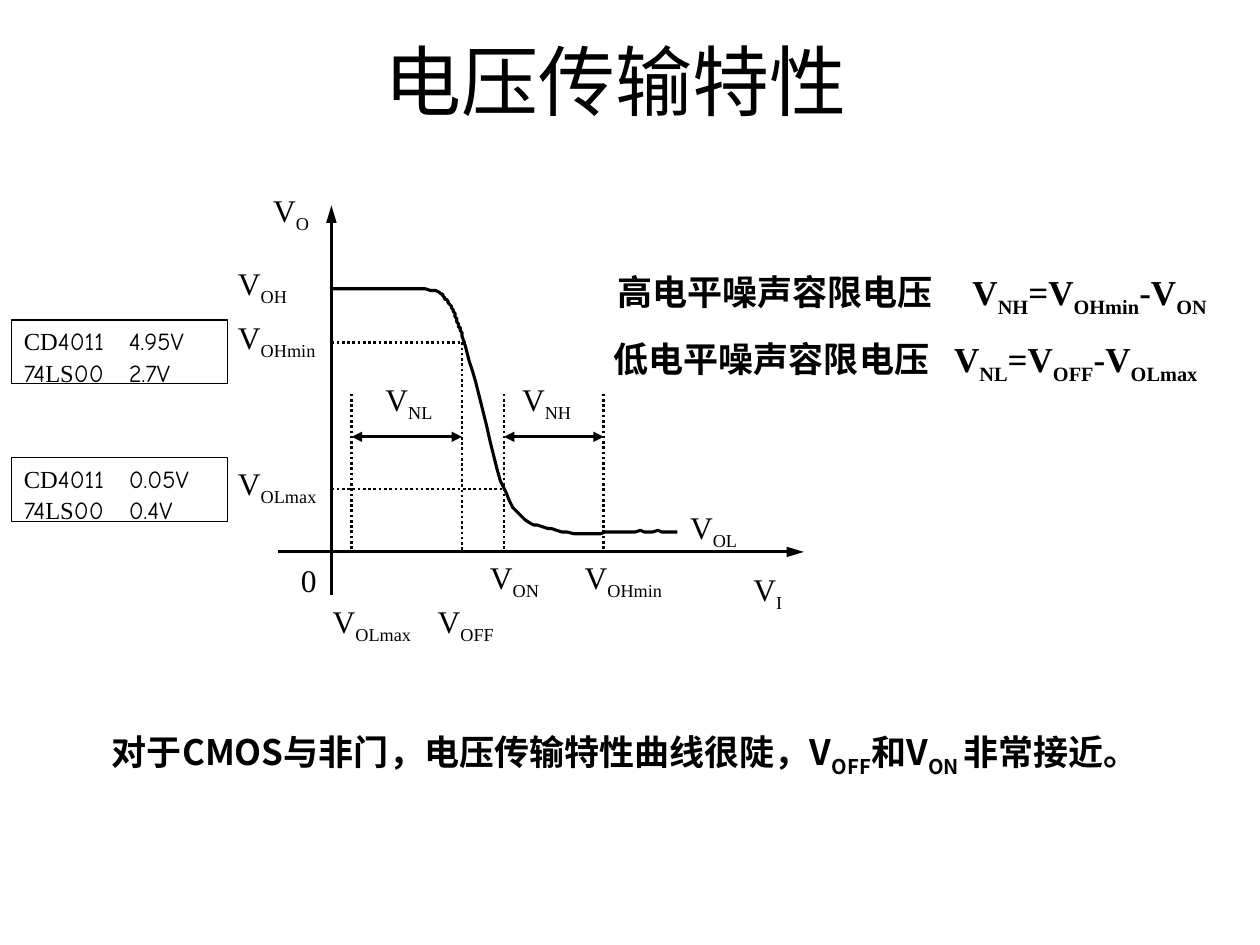
from dataclasses import dataclass

from lxml.etree import SubElement
from pptx import Presentation
from pptx.dml.color import RGBColor
from pptx.enum.dml import MSO_LINE
from pptx.enum.shapes import MSO_CONNECTOR, MSO_SHAPE
from pptx.enum.text import MSO_ANCHOR, PP_ALIGN
from pptx.oxml.ns import qn
from pptx.util import Pt


@dataclass(frozen=True)
class Theme:
    ink: RGBColor = RGBColor(0, 0, 0)
    serif: str = "Times New Roman"
    rounded: str = "Comic Neue"
    chinese: str = "Noto Sans CJK SC"
    title: float = 44
    body: float = 20
    label: float = 18
    small: float = 14
    axis: float = 1.75
    guide: float = 1.5
    frame: float = 0.75


THEME = Theme()


@dataclass(frozen=True)
class Span:
    text: str
    font: str = THEME.serif
    sub: bool = False


@dataclass(frozen=True)
class Label:
    left: float
    top: float
    sub: str
    width: float = 48


@dataclass(frozen=True)
class Stroke:
    start: tuple[float, float]
    end: tuple[float, float]
    weight: float = THEME.guide
    dotted: bool = False
    heads: tuple[str, ...] = ()
    head_length: str = "med"


@dataclass(frozen=True)
class LevelBox:
    """Output levels of the two chip families."""
    top: float
    cmos: str
    ttl: str


ORIGIN_X, ORIGIN_Y = 189.4, 315.4
X_OL, X_OFF, X_ON, X_OH = 201, 264, 288, 345
Y_OH_MIN, Y_OL_MAX, Y_MARGIN, Y_GUIDE_TOP = 195.6, 279.4, 249.6, 225

STROKES = [
    Stroke((ORIGIN_X, 339.8), (ORIGIN_X, 117.4), THEME.axis, heads=("tailEnd",), head_length="lg"),
    Stroke((158.8, ORIGIN_Y), (459.4, ORIGIN_Y), THEME.axis, heads=("tailEnd",), head_length="lg"),
    Stroke((ORIGIN_X, Y_OH_MIN), (267, Y_OH_MIN), dotted=True),
    Stroke((ORIGIN_X, Y_OL_MAX), (X_ON, Y_OL_MAX), dotted=True),
    *(Stroke((x, top), (x, ORIGIN_Y), dotted=True)
      for x, top in ((X_OL, Y_GUIDE_TOP), (X_OFF, Y_OH_MIN),
                     (X_ON, Y_GUIDE_TOP), (X_OH, Y_GUIDE_TOP))),
    *(Stroke((x, Y_MARGIN), (end, Y_MARGIN), heads=("headEnd", "tailEnd"))
      for x, end in ((X_OL, X_OFF), (X_ON, X_OH))),
]

CURVE_START = (189.4, 165.4)
CURVE = [  # two control points and an end point for each Bezier segment
    ((211, 164.9), (231.8, 164.2), (243.4, 165.4)),
    ((254.2, 166.3), (252, 168.5), (254.9, 171.4)),
    ((258.5, 174.2), (259.2, 178.6), (261.4, 183.6)),
    ((262.8, 188.6), (262.1, 184.3), (267.1, 201.6)),
    ((272.2, 218.2), (282.2, 268.6), (290.9, 285.8)),
    ((300.2, 302.4), (308.9, 300.2), (321.1, 303.5)),
    ((333.4, 306.5), (352.1, 303.6), (362.9, 303.5)),
    ((374.4, 303.5), (383, 303.5), (387.4, 303.5)),
]

LABELS = [
    Label(149, 105.8, "O"), Label(128.9, 147.6, "OH"),
    Label(128.9, 178, "OHmin", 66), Label(128.9, 261.6, "OLmax", 66),
    Label(213.1, 213.8, "NL"), Label(291.2, 213.8, "NH"),
    Label(387.2, 286.8, "OL"), Label(423.4, 322, "I"),
    Label(272.9, 315.4, "ON"), Label(327, 315.4, "OHmin", 72),
    Label(183, 340.6, "OLmax", 66), Label(243, 340.6, "OFF", 60),
]

LEVELS = [LevelBox(182.9, "4.95V", "2.7V"), LevelBox(261.4, "0.05V", "0.4V")]


def with_subs(*texts: str, font: str = THEME.serif) -> list[Span]:
    """Alternate normal and subscript spans."""
    return [Span(text, font, sub=bool(i % 2)) for i, text in enumerate(texts)]


def write(para, spans: list[Span], size: float, bold: bool = False, tab: float = 0) -> None:
    if tab:
        tabs = SubElement(para._p.get_or_add_pPr(), qn("a:tabLst"))
        SubElement(tabs, qn("a:tab"), pos=str(int(Pt(tab))), algn="l")
    for span in spans:
        run = para.add_run()
        run.text = span.text
        font = run.font
        font.name, font.size, font.bold = span.font, Pt(size), bold
        font.color.rgb = THEME.ink
        props = run._r.get_or_add_rPr()
        SubElement(props, qn("a:ea"), typeface=THEME.chinese)
        if span.sub:
            props.set("baseline", "-25000")


def add_text(page, left: float, top: float, width: float, height: float,
             spans: list[Span], size: float, bold: bool = False, tab: float = 0):
    box = page.shapes.add_textbox(Pt(left), Pt(top), Pt(width), Pt(height))
    box.text_frame.word_wrap = True
    write(box.text_frame.paragraphs[0], spans, size, bold, tab)
    return box


def add_stroke(page, stroke: Stroke) -> None:
    ends = [Pt(value) for value in (*stroke.start, *stroke.end)]
    connector = page.shapes.add_connector(MSO_CONNECTOR.STRAIGHT, *ends)
    connector.line.color.rgb = THEME.ink
    connector.line.width = Pt(stroke.weight)
    if stroke.dotted:
        connector.line.dash_style = MSO_LINE.ROUND_DOT
    for head in stroke.heads:
        SubElement(connector.line._get_or_add_ln(), qn(f"a:{head}"),
                   type="triangle", w="med", len=stroke.head_length)
    SubElement(connector._element.spPr, qn("a:effectLst"))


def bezier(points: list[tuple[float, float]], t: float) -> tuple[float, float]:
    weights = ((1 - t) ** 3, 3 * t * (1 - t) ** 2, 3 * t * t * (1 - t), t ** 3)
    x, y = (sum(w * point[axis] for w, point in zip(weights, points)) for axis in (0, 1))
    return x, y


def add_curve(page, steps: int = 12) -> None:
    vertices, start = [], CURVE_START
    for segment in CURVE:
        vertices += [bezier([start, *segment], i / steps) for i in range(1, steps + 1)]
        start = segment[-1]
    builder = page.shapes.build_freeform(*CURVE_START, scale=float(Pt(1)))
    builder.add_line_segments(vertices, close=False)
    curve = builder.convert_to_shape()
    curve.shadow.inherit = False
    curve.fill.background()
    curve.line.color.rgb = THEME.ink
    curve.line.width = Pt(THEME.axis)


def add_levels(page, level: LevelBox) -> None:
    box = page.shapes.add_shape(MSO_SHAPE.RECTANGLE, Pt(6.5), Pt(level.top), Pt(123.5), Pt(36.5))
    box.shadow.inherit = False
    box.fill.background()
    box.line.color.rgb = THEME.ink
    box.line.width = Pt(THEME.frame)
    frame = box.text_frame
    frame.vertical_anchor = MSO_ANCHOR.TOP
    rows = [
        [Span("CD"), Span(f"4011\t{level.cmos}", THEME.rounded)],
        [Span("74", THEME.rounded), Span("LS"), Span(f"00\t{level.ttl}", THEME.rounded)],
    ]
    for i, spans in enumerate(rows):
        para = frame.add_paragraph() if i else frame.paragraphs[0]
        para.alignment = PP_ALIGN.LEFT
        if i:
            para.space_before = Pt(1.4)
        write(para, spans, THEME.small, tab=60)


def main() -> None:
    deck = Presentation()
    deck.slide_width, deck.slide_height = Pt(720), Pt(540)
    page = deck.slides.add_slide(deck.slide_layouts[6])

    title = add_text(page, 21.6, 15.8, 661, 59, [Span("电压传输特性", THEME.chinese)], THEME.title)
    title.text_frame.vertical_anchor = MSO_ANCHOR.MIDDLE
    title.text_frame.paragraphs[0].alignment = PP_ALIGN.CENTER

    for stroke in STROKES:
        add_stroke(page, stroke)
    add_curve(page)
    for label in LABELS:
        add_text(page, label.left, label.top, label.width, 28.8,
                 with_subs("V", label.sub), THEME.label)
    add_text(page, 164.9, 316.8, 24, 28.8, [Span("0")], THEME.label)
    for level in LEVELS:
        add_levels(page, level)

    high = with_subs("高电平噪声容限电压\tV", "NH", "=V", "OHmin", "-V", "ON")
    low = with_subs("低电平噪声容限电压\tV", "NL", "=V", "OFF", "-V", "OLmax")
    add_text(page, 345.6, 151.2, 361.4, 31, high, THEME.body, True, tab=203)
    add_text(page, 343.6, 189.4, 370, 31, low, THEME.body, True, tab=194.5)
    summary = with_subs("对于CMOS与非门，电压传输特性曲线很陡，V", "OFF", "和V", "ON ",
                        "非常接近。", font=THEME.chinese)
    add_text(page, 56.9, 414, 649.4, 31.7, summary, THEME.body, True)
    deck.save("out.pptx")


if __name__ == "__main__":
    main()
